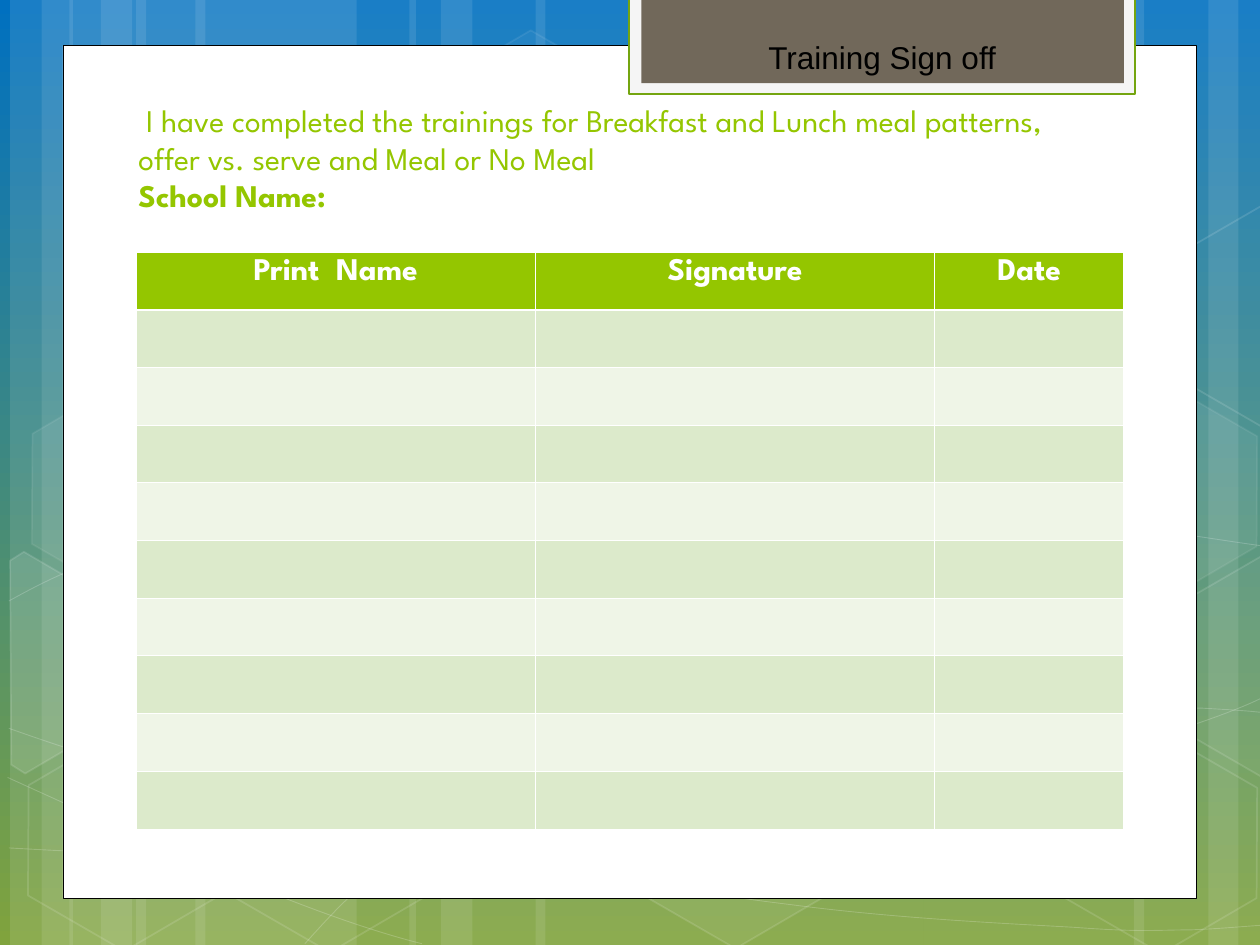
import pptx
import pptx.util
import pptx.dml.color
import pptx.enum.shapes
import pptx.enum.text
import pptx.oxml
import pptx.oxml.ns

Inches, Pt = pptx.util.Inches, pptx.util.Pt
RGBColor = pptx.dml.color.RGBColor
Kind = pptx.enum.shapes.MSO_SHAPE
qn = pptx.oxml.ns.qn
NS = pptx.oxml.ns.nsdecls("a")

WHITE = RGBColor(0xFF, 0xFF, 0xFF)
BLACK = RGBColor(0, 0, 0)
BLUE = RGBColor(0x00, 0x70, 0xC0)
OLIVE = RGBColor(0x80, 0xA3, 0x3D)
LIME = RGBColor(0x94, 0xC6, 0x00)
GREEN = RGBColor(0x74, 0xA5, 0x10)
PALE = RGBColor(0xF5, 0xF5, 0xF5)
BROWN = RGBColor(0x71, 0x68, 0x5A)
BANDS = [RGBColor(0xEF, 0xF5, 0xE7), RGBColor(0xDC, 0xEA, 0xCB)]
SPARTAN = "League Spartan"


def paint(shape, fill, line=None, width=1, alpha=100, edge=100):
    """Fill and outline a shape; alpha and edge are their opacities in percent."""
    shape.shadow.inherit = False
    parts = ((shape.fill, fill, alpha), (shape.line.fill, line, edge))
    for part, color, share in parts:
        if color is None or share == 0:
            part.background()
            continue
        part.solid()
        part.fore_color.rgb = color
        if share < 100:
            node = part._xPr.find(".//" + qn("a:srgbClr"))
            node.append(pptx.oxml.parse_xml(
                f'<a:alpha {NS} val="{share * 1000}"/>'))
    if line is not None:
        shape.line.width = Pt(width)


def style(para, size, name, color, bold=False):
    for run in para.runs:
        run.font.size = Pt(size)
        run.font.name = name
        run.font.color.rgb = color
        run.font.bold = bold


deck = pptx.Presentation()
deck.slide_width, deck.slide_height = Inches(10), Inches(7.5)
slide = deck.slides.add_slide(deck.slide_layouts[6])
shapes = slide.shapes

back = slide.background.fill
back.gradient()
back.gradient_angle = 270
for stop, color in zip(back.gradient_stops, (BLUE, OLIVE)):
    stop.color.rgb = color

# Vertical light strips: left, width
strips = [(1.08, 1.75), (0.08, 0.5), (0.33, 0.83), (1.55, 1.75),
          (0.55, 0.5), (0.8, 0.83), (7.33, 1.75), (9.59, 0.5),
          (9, 0.83), (4.25, 3.08), (3.25, 0.5), (3.5, 0.83)]
for left, width in strips:
    strip = shapes.add_shape(Kind.RECTANGLE, Inches(left), 0,
                             Inches(width), Inches(7.5))
    paint(strip, WHITE, alpha=10)

# Thin curves: a start point, then Bezier pieces of three points each
curves = [
    [(0.07, 6.73), (0.61, 6.76), (1.15, 6.79), (1.9, 6.78),
     (2.65, 6.77), (3.58, 6.75), (4.58, 6.65),
     (5.58, 6.55), (7, 6.36), (7.92, 6.17),
     (8.83, 5.98), (9.77, 5.68), (10.07, 5.51)],
    [(0.07, 4.77), (0.36, 4.61), (0.65, 4.46), (1.21, 4.31),
     (1.78, 4.16), (2.59, 3.94), (3.47, 3.87),
     (4.36, 3.8), (5.44, 3.79), (6.54, 3.87),
     (7.64, 3.95), (9.47, 4.26), (10.07, 4.34)],
    [(0.06, 6.17), (1.27, 6.72), (2.47, 7.27), (3.35, 7.49)],
    [(0.07, 5.78), (0.38, 5.89), (0.7, 6), (1.28, 6.16),
     (1.86, 6.31), (2.73, 6.56), (3.57, 6.73),
     (4.4, 6.9), (5.45, 7.08), (6.28, 7.18),
     (7.11, 7.29), (8, 7.33), (8.53, 7.36),
     (9.06, 7.4), (9.19, 7.38), (9.45, 7.38),
     (9.71, 7.37), (9.89, 7.35), (10.07, 7.34)],
    [(2.42, 7.49), (2.6, 7.29), (2.78, 7.09), (3.02, 6.91),
     (3.26, 6.72), (3.6, 6.53), (3.88, 6.39),
     (4.16, 6.25), (4.33, 6.19), (4.69, 6.09),
     (5.06, 5.99), (5.73, 5.85), (6.08, 5.78),
     (6.44, 5.71), (6.49, 5.71), (6.8, 5.69),
     (7.11, 5.66), (7.6, 5.63), (7.94, 5.62),
     (8.29, 5.61), (8.86, 5.62), (8.86, 5.62),
     (9.08, 5.62), (9.31, 5.62), (9.53, 5.62),
     (9.71, 5.63), (9.88, 5.64), (9.97, 5.65),
     (10.06, 5.66), (10.03, 5.65), (10.06, 5.66)],
]
for curve in curves:
    dots = [(Inches(x), Inches(y)) for x, y in curve]
    pen = shapes.build_freeform(*dots[0])
    pen.add_line_segments(dots[1:], close=False)
    wave = pen.convert_to_shape()
    trace = wave._element.find(".//" + qn("a:path"))
    lines = trace.findall(qn("a:lnTo"))
    for i in range(0, len(lines), 3):
        bend = pptx.oxml.parse_xml(f"<a:cubicBezTo {NS}/>")
        for line in lines[i:i + 3]:
            bend.append(line[0])
            trace.remove(line)
        trace.append(bend)
    paint(wave, None, WHITE, 0.5, edge=20)

# Hexagons: left, top, fill opacity, outline opacity
hexes = [(3.34, 0.36, 4, 8), (4.96, 5.89, 6, 12), (0.11, 5.91, 0, 12),
         (0.14, 3.12, 7, 8), (1.74, 5.92, 0, 12), (7.53, 4.53, 10, 12),
         (8.34, 5.93, 0, 12), (8.34, 3.14, 7, 8)]
for left, top, alpha, edge in hexes:
    cell = shapes.add_shape(Kind.HEXAGON, Inches(left), Inches(top),
                            Inches(1.75), Inches(1.52))
    cell.adjustments[0] = 0.285
    cell.rotation = 30
    paint(cell, WHITE, WHITE, 1, alpha, edge)

# Hexagons cut off by the slide edge: fill opacity, corners
cuts = [
    (10, [(0.08, 4.45), (0.19, 4.38), (0.96, 4.83), (0.95, 5.7),
          (0.2, 6.14), (0.09, 6.07)]),
    (4, [(9.26, 4.85), (10.02, 4.41), (10.09, 4.46), (10.09, 6.13),
         (10.02, 6.17), (9.26, 5.73)]),
    (0, [(9.26, 2.07), (10.02, 1.63), (10.1, 1.68), (10.09, 3.35),
         (10.02, 3.39), (9.26, 2.95)]),
]
for alpha, corners in cuts:
    dots = [(Inches(x), Inches(y)) for x, y in corners]
    pen = shapes.build_freeform(*dots[0])
    pen.add_line_segments(dots[1:], close=True)
    paint(pen.convert_to_shape(), WHITE, WHITE, 1, alpha, 12)

# Page and the tab on top of it
panels = [((0.5, 0.36, 9, 6.77), WHITE, BLACK, 0.5),
          ((4.99, -0.02, 4.02, 0.77), PALE, GREEN, 1.25),
          ((5.09, -0.02, 3.83, 0.68), BROWN, None, 0)]
for box, fill, line, width in panels:
    panel = shapes.add_shape(Kind.RECTANGLE, *map(Inches, box))
    paint(panel, fill, line, width)

title = shapes.add_textbox(Inches(1), Inches(0.67), Inches(7.68), Inches(1.08))
frame = title.text_frame
frame.word_wrap = True
frame.vertical_anchor = pptx.enum.text.MSO_ANCHOR.BOTTOM
para = frame.paragraphs[0]
para.text = (" I have completed the trainings for Breakfast and Lunch meal "
             "patterns, offer vs. serve and Meal or No Meal\vSchool Name:")
style(para, 18, SPARTAN, LIME)
para.runs[-1].font.bold = True

label = shapes.add_textbox(Inches(6), Inches(0.25), Inches(2.42), Inches(0.4))
label.text_frame.word_wrap = True
label.text_frame.text = "Training Sign off"
style(label.text_frame.paragraphs[0], 18, "Arial", BLACK)

heads = ["Print  Name", "Signature", "Date"]
ROWS = 10
grid = shapes.add_table(ROWS, len(heads), Inches(1.08), Inches(2),
                        Inches(7.83), Inches(4.58)).table
for col, width in zip(grid.columns, (3.17, 3.17, 1.5)):
    col.width = Inches(width)
for r in range(ROWS):
    for c, head in enumerate(heads):
        cell = grid.cell(r, c)
        props = cell._tc.get_or_add_tcPr()
        for side in "LRTB":
            thick = (r, side) in ((0, "B"), (1, "T"))
            props.append(pptx.oxml.parse_xml(
                f'<a:ln{side} {NS} '
                f'w="{Pt(1.47 if thick else 0.45)}"><a:solidFill>'
                f'<a:srgbClr val="{WHITE}"/></a:solidFill></a:ln{side}>'))
        cell.fill.solid()
        cell.fill.fore_color.rgb = BANDS[r % 2] if r else LIME
        if r == 0:
            cell.text_frame.text = head
            para = cell.text_frame.paragraphs[0]
            para.alignment = pptx.enum.text.PP_ALIGN.CENTER
            style(para, 18, SPARTAN, WHITE, True)

deck.save("out.pptx")
